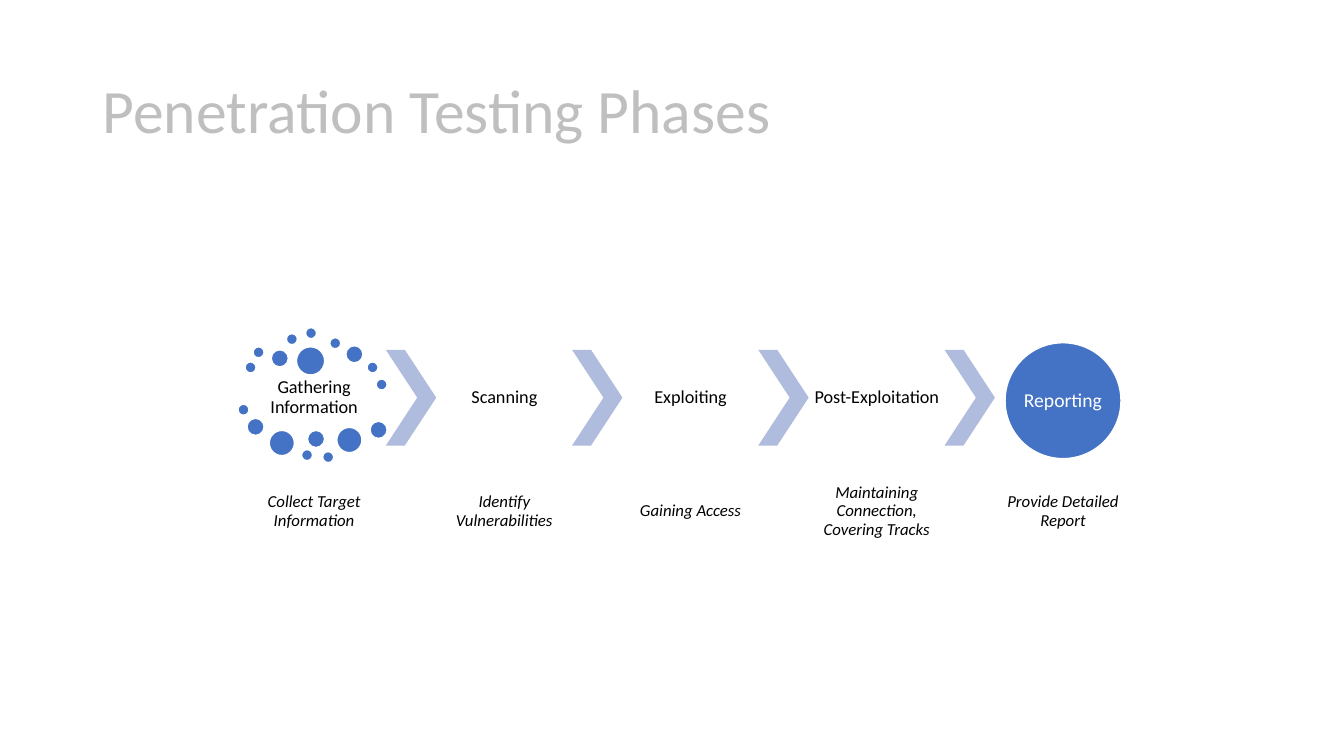
from pptx import Presentation
from pptx.dml.color import RGBColor
from pptx.enum.shapes import MSO_SHAPE
from pptx.enum.text import MSO_ANCHOR, PP_ALIGN
from pptx.util import Inches, Pt

BLUE = RGBColor(0x44, 0x72, 0xC4)
PALE_BLUE = RGBColor(0xB0, 0xBC, 0xDE)
GRAY = RGBColor(0xBF, 0xBF, 0xBF)
BLACK = RGBColor(0, 0, 0)
WHITE = RGBColor(0xFF, 0xFF, 0xFF)

PHASES = [
    ("Gathering Information", "Collect Target Information"),
    ("Scanning", "Identify Vulnerabilities"),
    ("Exploiting", "Gaining Access"),
    ("Post-Exploitation", "Maintaining Connection, Covering Tracks"),
    ("Reporting", "Provide Detailed Report"),
]
PHASE_W, CHEVRON_W, ROW_H = 1.35, 0.5, 0.95
PITCH = 1.847  # one phase plus one chevron

# Dots around the first phase: diameter -> offsets from the cluster's corner
DOTS = {
    0.11: [(0.07, 0.34), (0.15, 0.19), (0.48, 0.06), (0.67, 0), (0.91, 0.1),
           (1.28, 0.34), (1.37, 0.51), (0, 0.76), (0.63, 1.21), (0.84, 1.23)],
    0.17: [(0.33, 0.22), (1.07, 0.18), (0.09, 0.9), (0.69, 1.02), (1.31, 0.93)],
    0.25: [(0.31, 1.02), (0.98, 0.99)],
    0.28: [(0.58, 0.19)],
}


def write(shape, text, size, color, align=PP_ALIGN.CENTER, italic=False, inset=0.02):
    tf = shape.text_frame
    tf.word_wrap = True
    tf.vertical_anchor = MSO_ANCHOR.MIDDLE
    if inset is not None:
        tf.margin_left = tf.margin_right = Inches(inset)
        tf.margin_top = tf.margin_bottom = Inches(inset)
    p = tf.paragraphs[0]
    p.alignment = align
    p.line_spacing = 0.9
    r = p.add_run()
    r.text = text
    r.font.name = "Calibri"
    r.font.size = Pt(size)
    r.font.italic = italic
    r.font.color.rgb = color


def add_label(s, x, y, w, h, text, size, color=BLACK, **style):
    box = s.shapes.add_textbox(Inches(x), Inches(y), Inches(w), Inches(h))
    write(box, text, size, color, **style)


def add_circle(s, x, y, d):
    sp = s.shapes.add_shape(MSO_SHAPE.OVAL, Inches(x), Inches(y), Inches(d), Inches(d))
    sp.shadow.inherit = False
    sp.fill.solid()
    sp.fill.fore_color.rgb = BLUE
    sp.line.color.rgb = WHITE
    sp.line.width = Pt(1)
    return sp


def add_chevron(s, x, y):
    sp = s.shapes.add_shape(MSO_SHAPE.CHEVRON, Inches(x), Inches(y),
                            Inches(CHEVRON_W), Inches(ROW_H))
    sp.adjustments[0] = 0.623
    sp.shadow.inherit = False
    sp.fill.solid()
    sp.fill.fore_color.rgb = PALE_BLUE
    sp.line.fill.background()


def add_dot_cluster(s, x, y):
    for d, offsets in DOTS.items():
        for dx, dy in offsets:
            add_circle(s, x + dx, y + dy, d)


def add_process(s, x, y):
    last = len(PHASES) - 1
    for i, (name, detail) in enumerate(PHASES):
        # The first phase sits slightly left to make room for its dots
        left = x + i * PITCH if i else x - 0.04
        if i:
            add_chevron(s, left - CHEVRON_W, y)
        if i == 0:
            add_dot_cluster(s, left - 0.08, y - 0.22)
        if i == last:
            circle = add_circle(s, left + 0.1, y - 0.07, 1.15)
            write(circle, name, 14, WHITE, inset=0)
        else:
            add_label(s, left, y, PHASE_W, ROW_H, name, 13)
        add_label(s, left, y + 1.19, PHASE_W, 0.83, detail, 12, italic=True)


def main():
    prs = Presentation()
    prs.slide_width, prs.slide_height = Inches(13.33), Inches(7.5)
    s = prs.slides.add_slide(prs.slide_layouts[6])
    # Title
    add_label(s, 0.92, 0.4, 11.5, 1.45, "Penetration Testing Phases", 44, GRAY,
              align=PP_ALIGN.LEFT, inset=None)
    # Phases with their details
    add_process(s, 2.48, 3.47)
    prs.save("out.pptx")


if __name__ == "__main__":
    main()
